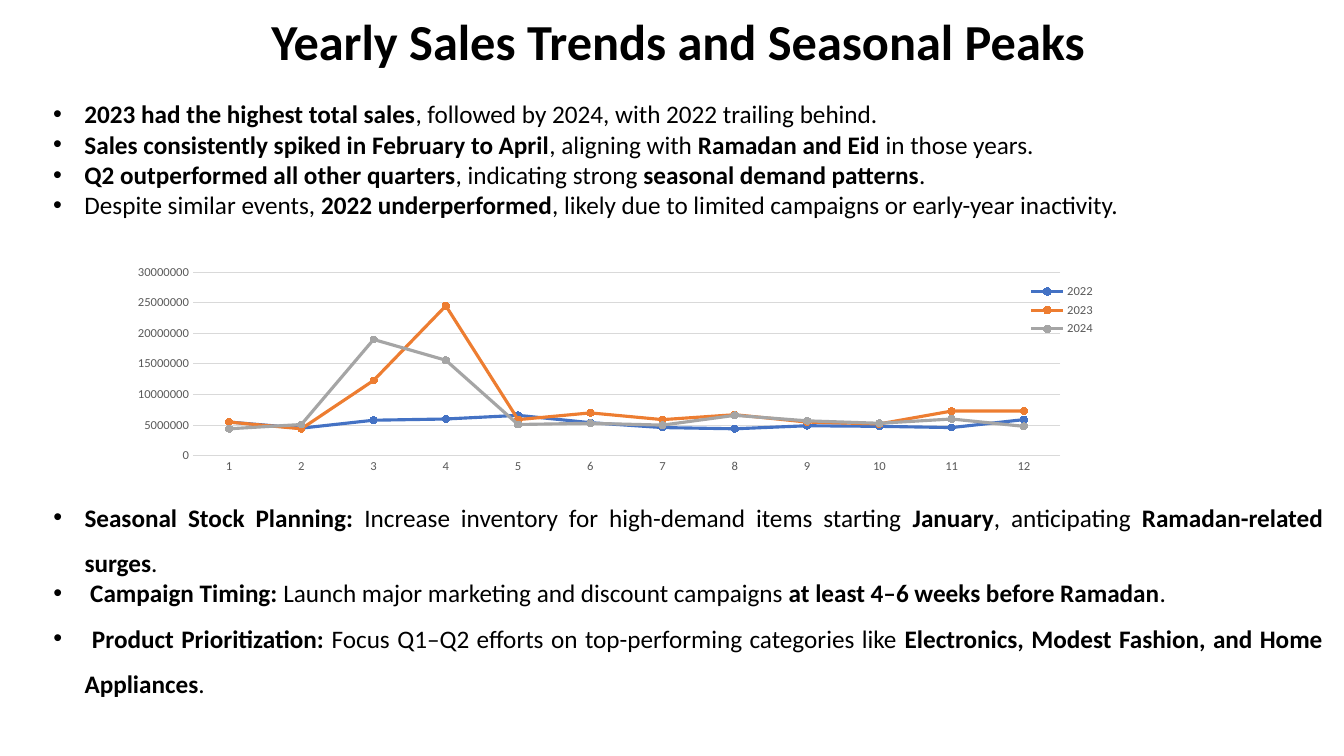
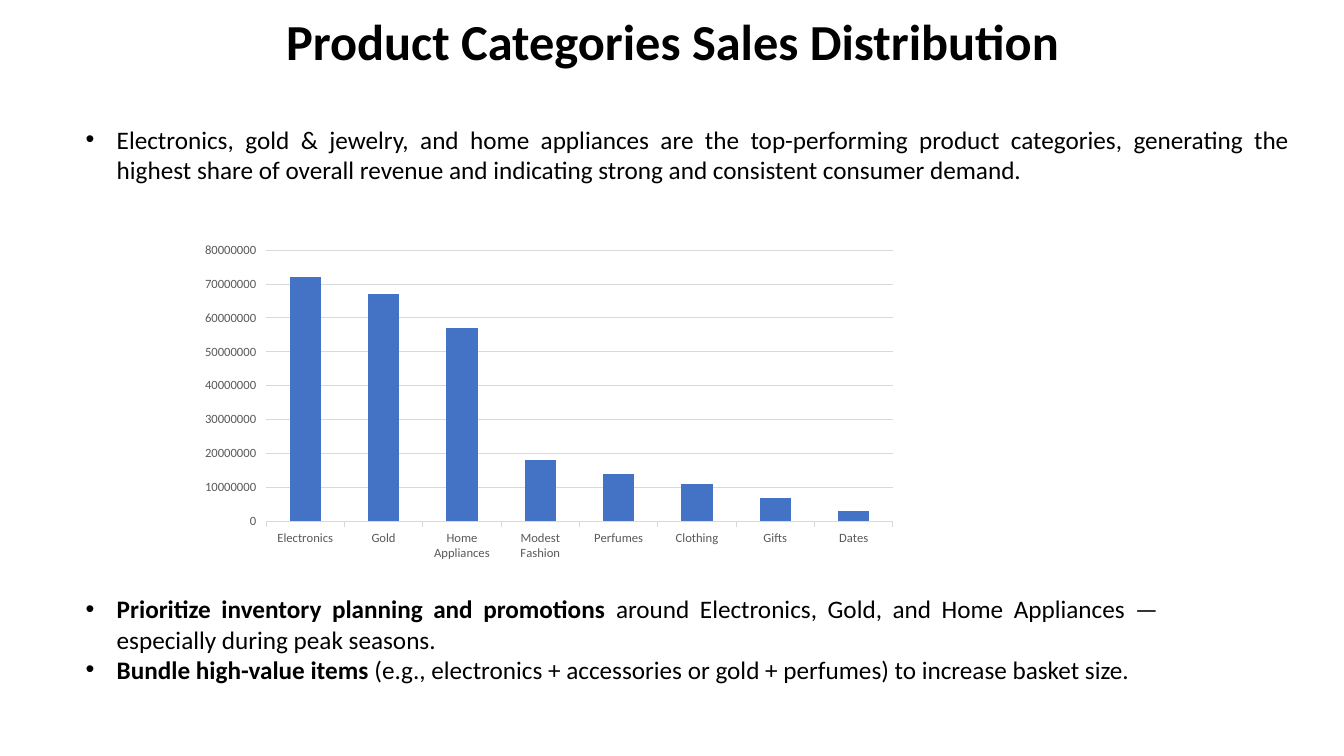
from dataclasses import dataclass

from lxml import etree
from pptx import Presentation
from pptx.chart.data import CategoryChartData
from pptx.dml.color import RGBColor
from pptx.enum.chart import XL_CHART_TYPE, XL_LEGEND_POSITION, XL_MARKER_STYLE, XL_TICK_MARK
from pptx.enum.text import MSO_ANCHOR, PP_ALIGN
from pptx.oxml.ns import qn
from pptx.util import Inches, Pt

LINE, COLUMN = XL_CHART_TYPE.LINE_MARKERS, XL_CHART_TYPE.COLUMN_CLUSTERED
TICK_NONE, TICK_OUT = XL_TICK_MARK.NONE, XL_TICK_MARK.OUTSIDE
CENTER, JUSTIFY = PP_ALIGN.CENTER, PP_ALIGN.JUSTIFY
MIDDLE = MSO_ANCHOR.MIDDLE
LEGEND_RIGHT = XL_LEGEND_POSITION.RIGHT
CIRCLE = XL_MARKER_STYLE.CIRCLE


@dataclass(frozen=True)
class Theme:
    font: str = "Calibri"
    text: RGBColor = RGBColor(0x00, 0x00, 0x00)
    label: RGBColor = RGBColor(0x59, 0x59, 0x59)
    grid: RGBColor = RGBColor(0xD9, 0xD9, 0xD9)
    series: tuple = (
        RGBColor(0x44, 0x72, 0xC4),
        RGBColor(0xED, 0x7D, 0x31),
        RGBColor(0xA5, 0xA5, 0xA5),
    )
    title_size: int = 36
    body_size: int = 18
    label_size: int = 9
    hairline: float = 0.75
    series_line: float = 2.25
    indent: float = 0.31


THEME = Theme()
TITLE_BOX = (0.66, 0.12, 12.14, 0.64)

TREND_FACTS = [
    "**2023 had the highest total sales**, followed by 2024, with 2022 trailing behind.",
    "**Sales consistently spiked in February to April**, aligning with **Ramadan and Eid** in those years.",
    "**Q2 outperformed all other quarters**, indicating strong **seasonal demand patterns**.",
    "Despite similar events, **2022 underperformed**, likely due to limited campaigns or early-year inactivity.",
]
TREND_ACTIONS = [
    "**Seasonal Stock Planning:** Increase inventory for high-demand items starting **January**, "
    "anticipating **Ramadan-related surges**.",
    "** Campaign Timing:** Launch major marketing and discount campaigns "
    "**at least 4–6 weeks before Ramadan**.",
    "** Product Prioritization:** Focus Q1–Q2 efforts on top-performing categories like "
    "**Electronics, Modest Fashion, and Home Appliances**.",
]
CATEGORY_FACTS = [
    "Electronics, gold & jewelry, and home appliances are the top-performing product categories, "
    "generating the highest share of overall revenue and indicating strong and consistent consumer demand.",
]
CATEGORY_ACTIONS = [
    "**Prioritize inventory planning and promotions** around Electronics, Gold, and Home Appliances — "
    "especially during peak seasons.",
    "**Bundle high-value items** (e.g., electronics + accessories or gold + perfumes) to increase basket size.",
]

MILLION = 1_000_000
MONTHLY_SALES = {  # millions
    "2022": (5.5, 4.5, 5.8, 6.0, 6.6, 5.4, 4.6, 4.4, 4.9, 4.8, 4.6, 5.9),
    "2023": (5.5, 4.4, 12.3, 24.5, 5.9, 7.0, 5.9, 6.7, 5.5, 5.2, 7.3, 7.3),
    "2024": (4.4, 5.1, 19.0, 15.6, 5.1, 5.3, 5.0, 6.6, 5.7, 5.3, 6.0, 4.8),
}
CATEGORY_SALES = {  # millions
    "Electronics": 72, "Gold": 67, "Home Appliances": 57, "Modest Fashion": 18,
    "Perfumes": 14, "Clothing": 11, "Gifts": 7, "Dates": 3,
}


def inches(box):
    return [Inches(v) for v in box]


def style_font(font, size, color, bold=False):
    font.name, font.size, font.bold = THEME.font, Pt(size), bold
    font.color.rgb = color


def write(p, text, *, size=THEME.body_size, color=THEME.text, align=JUSTIFY, spacing=1.0):
    """Fill a paragraph; parts between double asterisks become bold."""
    p.alignment, p.line_spacing = align, spacing
    for i, part in enumerate(text.split("**")):
        if part:
            r = p.add_run()
            r.text = part
            style_font(r.font, size, color, bold=i % 2 == 1)


def set_bullet(p):
    pPr = p._p.get_or_add_pPr()
    pPr.set("marL", str(Inches(THEME.indent)))
    pPr.set("indent", str(-Inches(THEME.indent)))
    etree.SubElement(pPr, qn("a:buFont")).set("typeface", "Arial")
    etree.SubElement(pPr, qn("a:buChar")).set("char", "•")


def add_titled_slide(prs, title):
    s = prs.slides.add_slide(prs.slide_layouts[5])
    sp = s.shapes.title
    sp.left, sp.top, sp.width, sp.height = inches(TITLE_BOX)
    tf = sp.text_frame
    tf.vertical_anchor = MIDDLE
    write(tf.paragraphs[0], f"**{title}**", size=THEME.title_size, align=CENTER, spacing=0.9)
    return s


def add_bullets(s, box, items, spacings=None):
    tf = s.shapes.add_textbox(*inches(box)).text_frame
    tf.word_wrap = True
    for i, item in enumerate(items):
        p = tf.add_paragraph() if i else tf.paragraphs[0]
        write(p, item, spacing=spacings[i] if spacings else 1.0)
        set_bullet(p)


def set_layout(parent, index, box, inner=False):
    """Place a plot area or legend by fractions of the chart's size."""
    old = parent.find(qn("c:layout"))
    if old is not None:
        parent.remove(old)
    layout = etree.Element(qn("c:layout"))
    manual = etree.SubElement(layout, qn("c:manualLayout"))
    values = [("layoutTarget", "inner")] if inner else []
    values += [("xMode", "edge"), ("yMode", "edge"), *zip("xywh", box)]
    for name, value in values:
        etree.SubElement(manual, qn(f"c:{name}")).set("val", str(value))
    parent.insert(index, layout)


def style_axes(chart, tick, top, step):
    for axis in (chart.category_axis, chart.value_axis):
        axis.major_tick_mark, axis.minor_tick_mark = tick, TICK_NONE
        style_font(axis.tick_labels.font, THEME.label_size, THEME.label)
    values = chart.value_axis
    values.minimum_scale, values.maximum_scale, values.major_unit = 0, top, step
    values.tick_labels.number_format = "0"
    values.tick_labels.number_format_is_linked = False
    values.format.line.fill.background()
    values.has_major_gridlines = True
    for line in (chart.category_axis.format.line, values.major_gridlines.format.line):
        line.color.rgb, line.width = THEME.grid, Pt(THEME.hairline)


def add_chart(s, kind, box, categories, series, *, plot_box, tick, top, step):
    data = CategoryChartData()
    data.categories = categories
    for name, values in series.items():
        data.add_series(name, [round(v * MILLION) for v in values])
    chart = s.shapes.add_chart(kind, *inches(box), data).chart
    chart.has_title = chart.has_legend = False
    style_font(chart.font, 10, THEME.text)
    chart.plots[0].vary_by_categories = False
    style_axes(chart, tick, top, step)
    set_layout(chart._chartSpace.chart.plotArea, 0, plot_box, inner=True)
    return chart


def style_lines(chart):
    for line, color in zip(chart.series, THEME.series):
        line.smooth = False
        line.format.line.color.rgb = color
        line.format.line.width = Pt(THEME.series_line)
        marker = line.marker
        marker.style, marker.size = CIRCLE, 5
        marker.format.fill.solid()
        marker.format.fill.fore_color.rgb = color
        marker.format.line.color.rgb = color


def style_columns(chart):
    chart.plots[0].gap_width = 150
    fill = chart.series[0].format.fill
    fill.solid()
    fill.fore_color.rgb = THEME.series[0]


def add_legend(chart, box):
    chart.has_legend = True
    legend = chart.legend
    legend.position, legend.include_in_layout = LEGEND_RIGHT, True
    style_font(legend.font, THEME.label_size, THEME.label)
    set_layout(legend._element, 1, box)


def build_trends(prs):
    s = add_titled_slide(prs, "Yearly Sales Trends and Seasonal Peaks")
    months = [str(m) for m in range(1, 13)]
    chart = add_chart(s, LINE, (0.75, 2.63, 10.3, 2.07), months, MONTHLY_SALES,
                      plot_box=(0.113, 0.021, 0.835, 0.913), tick=TICK_NONE,
                      top=30 * MILLION, step=5 * MILLION)
    style_lines(chart)
    add_legend(chart, (0.91, 0.06, 0.08, 0.3))
    add_bullets(s, (0.43, 4.78, 12.79, 2.17), TREND_ACTIONS, spacings=(1.5, 1.0, 1.5))
    add_bullets(s, (0.43, 0.93, 12.14, 1.62), TREND_FACTS)


def build_categories(prs):
    s = add_titled_slide(prs, "Product Categories Sales Distribution ")
    add_bullets(s, (0.75, 1.18, 12.14, 1.01), CATEGORY_FACTS)
    chart = add_chart(s, COLUMN, (1.58, 2.41, 8.61, 3.43), list(CATEGORY_SALES),
                      {"Series 1": CATEGORY_SALES.values()},
                      plot_box=(0.123, 0.019, 0.722, 0.786), tick=TICK_OUT,
                      top=80 * MILLION, step=10 * MILLION)
    style_columns(chart)
    add_bullets(s, (0.75, 5.84, 10.84, 1.31), CATEGORY_ACTIONS)


def main():
    prs = Presentation()
    prs.slide_width, prs.slide_height = Inches(13.33), Inches(7.5)
    build_trends(prs)
    build_categories(prs)
    prs.save("out.pptx")


if __name__ == "__main__":
    main()
